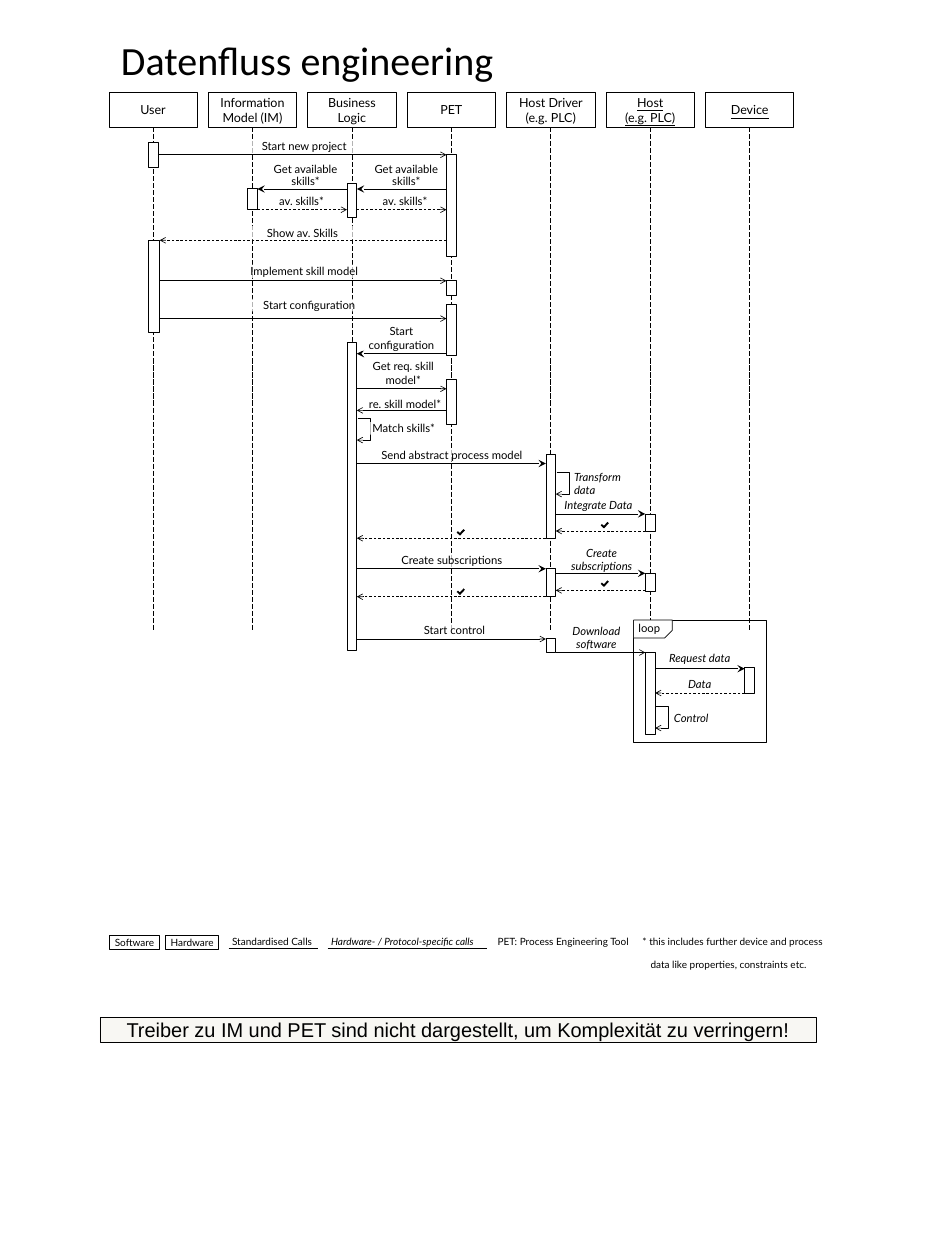
from lxml import etree
from pptx import Presentation
from pptx.dml.color import RGBColor
from pptx.enum.dml import MSO_LINE
from pptx.enum.shapes import MSO_CONNECTOR, MSO_SHAPE
from pptx.enum.text import MSO_ANCHOR, PP_ALIGN
from pptx.oxml.ns import qn
from pptx.util import Inches, Pt

RECTANGLE, CORNER, SNIPPED = MSO_SHAPE.RECTANGLE, MSO_SHAPE.CORNER, MSO_SHAPE.SNIP_1_RECTANGLE
STRAIGHT, ELBOW = MSO_CONNECTOR.STRAIGHT, MSO_CONNECTOR.ELBOW
DASH, LONG_DASH = MSO_LINE.DASH, MSO_LINE.LONG_DASH
LEFT, CENTER = PP_ALIGN.LEFT, PP_ALIGN.CENTER
TOP, MIDDLE = MSO_ANCHOR.TOP, MSO_ANCHOR.MIDDLE
BLACK, WHITE, CREAM = "000000", "FFFFFF", "F8F7F3"
USER, MODEL, LOGIC, PET, DRIVER, HOST, DEVICE = range(7)
FIRST_LANE, LAST_LANE = 1.7, 8.33
BAR_WIDTH, WIDE_BAR_WIDTH, WIDE_BAR_TOP = 0.11, 0.13, 2.67

PARTICIPANTS = ["User", "Information Model (IM)", "Business Logic", "PET",
                "Host Driver (e.g. PLC)", "Host\n(e.g. PLC)", "Device"]

BARS = [
    (USER, 1.58, 0.28), (USER, WIDE_BAR_TOP, 1.02), (MODEL, 2.09, 0.24),
    (LOGIC, 2.04, 0.38), (LOGIC, 3.8, 3.43),
    (PET, 1.71, 1.14), (PET, 3.12, 0.16), (PET, 3.38, 0.57), (PET, 4.22, 0.49),
    (DRIVER, 5.05, 0.93), (DRIVER, 6.32, 0.31), (DRIVER, 7.09, 0.16),
    (HOST, 5.71, 0.2), (HOST, 6.37, 0.2), (HOST, 7.25, 0.91), (DEVICE, 7.42, 0.28),
]

CALLS = [
    (USER, PET, 1.72, "arrow"), (PET, LOGIC, 2.1, "stealth"), (LOGIC, MODEL, 2.1, "stealth"),
    (USER, PET, 3.12, "arrow"), (USER, PET, 3.54, "arrow"), (PET, LOGIC, 3.93, "stealth"),
    (LOGIC, PET, 4.32, "arrow"), (PET, LOGIC, 4.56, "arrow"), (LOGIC, DRIVER, 5.15, "stealth"),
    (DRIVER, HOST, 5.71, "stealth"), (LOGIC, DRIVER, 6.32, "stealth"),
    (DRIVER, HOST, 6.37, "stealth"), (LOGIC, DRIVER, 7.1, "arrow"),
    (DRIVER, HOST, 7.25, "arrow"), (HOST, DEVICE, 7.43, "stealth"),
]

REPLIES = [
    (MODEL, LOGIC, 2.33), (LOGIC, PET, 2.33), (PET, USER, 2.67), (HOST, DRIVER, 5.9),
    (DRIVER, LOGIC, 5.98), (HOST, DRIVER, 6.56), (DRIVER, LOGIC, 6.63), (DEVICE, HOST, 7.7),
]

SELF_CALLS = [(LOGIC, 4.65), (DRIVER, 5.25), (HOST, 7.85)]

WRAPPED_LABELS = [
    ("Start new project", 1.98, 1.55, 2.8, 0.15),
    ("Show av. Skills", 1.96, 2.51, 2.8, 0.15),
    ("Implement skill model", 1.98, 2.94, 2.8, 0.15),
    ("Start configuration", 2.59, 3.32, 1.69, 0.14),
    ("Start configuration", 4, 3.61, 0.92, 0.29),
    ("Get req. skill model*", 4.04, 4, 0.88, 0.29),
]

SOFTWARE_LABELS = [
    ("Get available\vskills*", 2.98, 1.83, 0.83, 0.24, 40),
    ("Get available\vskills*", 4.1, 1.83, 0.83, 0.24, 40),
    ("av. skills*", 3.05, 2.12, 0.6, 0.24, 0),
    ("av. skills*", 4.2, 2.12, 0.6, 0.24, 0),
    ("re. skill model*", 4.07, 4.43, 0.86, 0.12, 70),
    ("Match skills*", 4.11, 4.69, 0.75, 0.14, 70),
    ("Send abstract process model", 4.19, 4.99, 1.66, 0.14, 70),
    ("Create subscriptions", 4.27, 6.16, 1.5, 0.14, 70),
    ("Start control", 4.3, 6.94, 1.5, 0.14, 70),
    ("loop", 7.06, 6.9, 0.31, 0.16, 0),
]

HARDWARE_LABELS = [
    ("Transform\ndata", 6.28, 5.28, 0.67, 0.19, LEFT),
    ("Integrate Data", 6.22, 5.52, 0.86, 0.19, CENTER),
    ("Create\vsubscriptions", 6.27, 6.15, 0.83, 0.14, CENTER),
    ("Download\vsoftware", 6.27, 6.97, 0.71, 0.24, CENTER),
    ("Request data", 7.39, 7.22, 0.77, 0.19, CENTER),
    ("Data", 7.44, 7.51, 0.67, 0.19, CENTER),
    ("Control", 7.39, 7.89, 0.67, 0.19, LEFT),
]

CHECK_MARKS = [(6.68, 5.8), (5.08, 5.88), (6.68, 6.45), (5.08, 6.54)]


def color(value):
    """Turn a hex string into a colour."""
    return RGBColor.from_string(value)


def lane_center(lane):
    """Return the horizontal position of a lifeline."""
    return FIRST_LANE + lane * (LAST_LANE - FIRST_LANE) / DEVICE


def bar_edges(lane, y):
    """Return the left and right edge of the bar on a lane at a height."""
    left = lane_center(lane) - BAR_WIDTH / 2
    wide = lane == USER and y >= WIDE_BAR_TOP
    return left, left + (WIDE_BAR_WIDTH if wide else BAR_WIDTH)


def write(shape, text, size, font="Lato", align=CENTER, anchor=MIDDLE, wrap=True,
          spacing=None, italic=None, underline=None):
    """Put uniformly formatted text into a shape."""
    frame = shape.text_frame
    frame.text = text
    frame.word_wrap = wrap
    frame.vertical_anchor = anchor
    for paragraph in frame.paragraphs:
        paragraph.alignment = align
        paragraph.line_spacing = spacing
        paragraph.font.name = font
        paragraph.font.size = Pt(size)
        paragraph.font.italic = italic
        paragraph.font.underline = underline
        paragraph.font.color.rgb = color(BLACK)


def add_box(slide, left, top, width, height, fill=WHITE, kind=RECTANGLE):
    """Add an outlined shape and return it."""
    shape = slide.shapes.add_shape(kind, Inches(left), Inches(top), Inches(width), Inches(height))
    shape.shadow.inherit = False
    if fill:
        shape.fill.solid()
        shape.fill.fore_color.rgb = color(fill)
    else:
        shape.fill.background()
    shape.line.color.rgb = color(BLACK)
    shape.line.width = Pt(0.5)
    return shape


def add_text(slide, text, left, top, width, height, size, **style):
    """Add a text box and return it."""
    box = slide.shapes.add_textbox(Inches(left), Inches(top), Inches(width), Inches(height))
    write(box, text, size, **style)
    return box


def add_label(slide, text, left, top, width, height, opacity=0, align=CENTER, **style):
    """Add a tight message label, optionally on a translucent white ground."""
    box = add_text(slide, text, left, top, width, height, 9, align=align, **style)
    frame = box.text_frame
    frame.margin_left = Inches(0.1 if align == LEFT else 0)
    frame.margin_right = frame.margin_top = frame.margin_bottom = 0
    if opacity:
        box.fill.solid()
        box.fill.fore_color.rgb = color(WHITE)
        ground = box._element.spPr.find(".//" + qn("a:srgbClr"))
        etree.SubElement(ground, qn("a:alpha"), val=str(opacity * 1000))


def add_line(slide, start, end, dash=None, head=None, kind=STRAIGHT):
    """Add a thin black connector and return it."""
    line = slide.shapes.add_connector(kind, *(Inches(value) for value in (*start, *end)))
    line.line.color.rgb = color(BLACK)
    line.line.width = Pt(0.5)
    if dash:
        line.line.dash_style = dash
    properties = line._element.spPr
    if head:
        size = "sm" if head == "arrow" else "med"
        etree.SubElement(properties.find(qn("a:ln")), qn("a:tailEnd"), type=head, w=size, len=size)
    etree.SubElement(properties, qn("a:effectLst"))
    return line


def add_message(slide, source, target, y, head="arrow", dash=None):
    """Draw an arrow between the facing bar edges of two lanes."""
    forward = target > source
    start, end = bar_edges(source, y)[forward], bar_edges(target, y)[not forward]
    add_line(slide, (start, y), (end, y), dash, head)


def add_self_call(slide, lane, y):
    """Draw an elbow arrow that returns to its own lane."""
    edge = bar_edges(lane, y)[1]
    line = add_line(slide, (edge + 0.01, y), (edge, y + 0.24), head="arrow", kind=ELBOW)
    adjustments = line._element.spPr.find(".//" + qn("a:avLst"))
    etree.SubElement(adjustments, qn("a:gd"), name="adj1", fmla="val -1400000")


def add_check_mark(slide, left, top):
    """Draw a check mark from a rotated corner shape."""
    mark = add_box(slide, left, top, 0.08, 0.05, BLACK, CORNER)
    mark.line.fill.background()
    mark.adjustments[0], mark.adjustments[1] = 0.42, 0.41
    mark.rotation = 312.8


def add_lanes(slide):
    """Draw participants, lifelines and activation bars."""
    for lane, name in enumerate(PARTICIPANTS):
        center = lane_center(lane)
        add_line(slide, (center, 1.41), (center, 7), LONG_DASH)
        header = add_box(slide, center - 0.49, 1.03, 0.98, 0.38)
        write(header, name, 10, underline=lane >= HOST)
    for lane, top, height in BARS:
        left, right = bar_edges(lane, top)
        add_box(slide, left, top, right - left, height)


def add_loop_frame(slide):
    """Draw the loop frame with its snipped tab."""
    add_box(slide, 7.04, 6.89, 1.48, 1.36, None)
    tab = add_box(slide, 7.04, 6.89, 0.43, 0.2, kind=SNIPPED)
    tab.adjustments[0] = 0.43
    tab._element.spPr.find(qn("a:xfrm")).set("flipV", "1")


def add_legend(slide):
    """Draw the legend row."""
    for text, left, width, underline in [("Software", 1.22, 0.55, False), ("Hardware", 1.84, 0.59, True)]:
        write(add_box(slide, left, 10.39, width, 0.16), text, 8, wrap=False, underline=underline)
    style = {"size": 8, "align": LEFT, "anchor": TOP}
    add_line(slide, (2.54, 10.54), (3.53, 10.54))
    add_text(slide, "Standardised Calls", 2.48, 10.34, 1.1, 0.24, **style)
    add_line(slide, (3.64, 10.54), (5.41, 10.54))
    add_text(slide, "Hardware- / Protocol-specific calls", 3.58, 10.34, 2.01, 0.24, italic=True, **style)
    add_text(slide, "PET: Process Engineering Tool", 5.43, 10.34, 1.73, 0.24, **style)
    note = add_text(slide, "* this includes further device and process\n"
                    "data like properties, constraints etc.", 7.04, 10.34, 2.26, 0.37, **style)
    second = note.text_frame.paragraphs[1]
    second.space_before = Pt(9.6)
    second._p.get_or_add_pPr().set("marL", str(Inches(0.09)))


def main():
    """Build the sequence diagram slide."""
    presentation = Presentation()
    presentation.slide_width, presentation.slide_height = Inches(10.5), Inches(14)
    slide = presentation.slides.add_slide(presentation.slide_layouts[6])
    add_text(slide, "Datenfluss engineering", 0.56, 0.34, 5.71, 0.79, 32, font="Calibri", anchor=TOP)
    add_lanes(slide)
    add_loop_frame(slide)
    for call in CALLS:
        add_message(slide, *call)
    for reply in REPLIES:
        add_message(slide, *reply, dash=DASH)
    for self_call in SELF_CALLS:
        add_self_call(slide, *self_call)
    for label in WRAPPED_LABELS:
        add_label(slide, *label, opacity=70)
    for label in SOFTWARE_LABELS:
        add_label(slide, *label, wrap=False, spacing=Pt(10))
    for *label, align in HARDWARE_LABELS:
        add_label(slide, *label, align=align, wrap=False, spacing=Pt(10), italic=True)
    for position in CHECK_MARKS:
        add_check_mark(slide, *position)
    add_legend(slide)
    banner = add_box(slide, 1.11, 11.3, 7.96, 0.28, CREAM)
    write(banner, "Treiber zu IM und PET sind nicht dargestellt, um Komplexität zu verringern!", 16, "Arial")
    presentation.save("out.pptx")


main()
